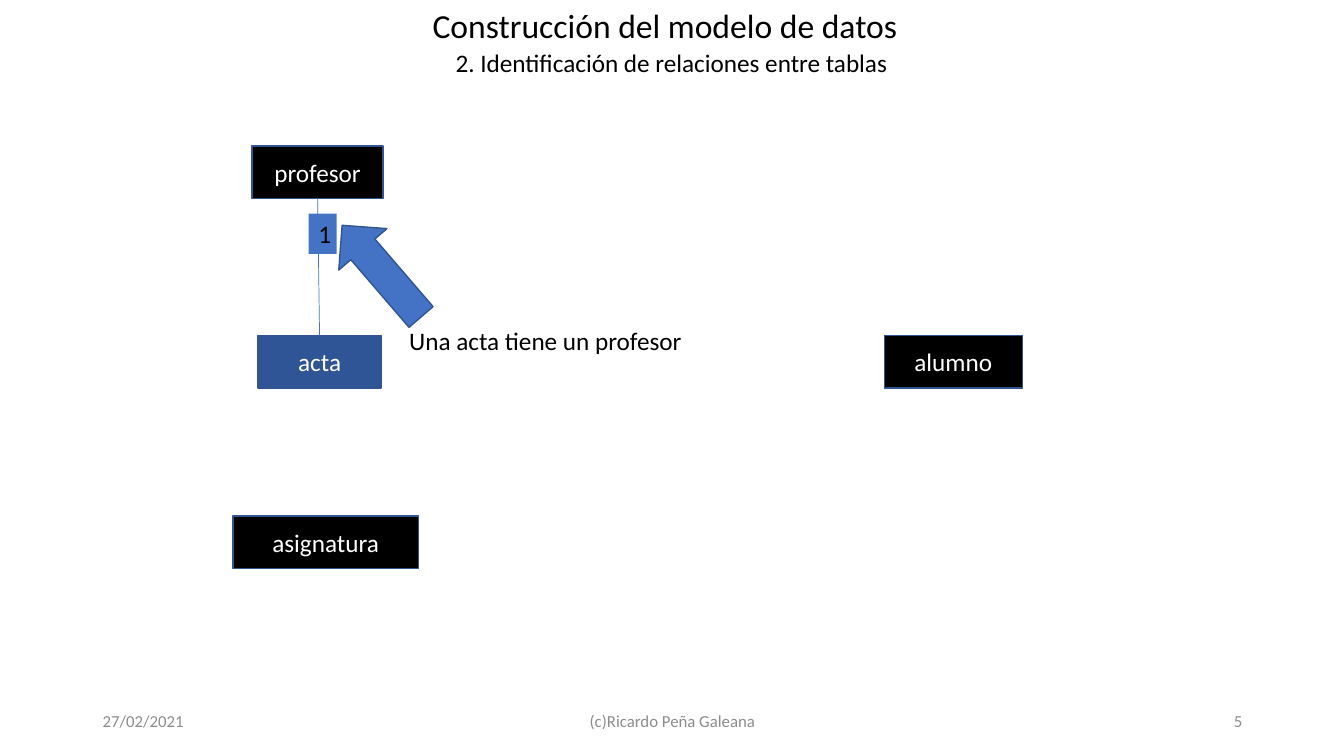
import pptx
import pptx.dml.color
import pptx.enum.shapes
import pptx.enum.text
import pptx.util
import lxml.etree

RGBColor = pptx.dml.color.RGBColor
MSO_SHAPE = pptx.enum.shapes.MSO_SHAPE
ANCHOR = pptx.enum.text.MSO_ANCHOR
ALIGN = pptx.enum.text.PP_ALIGN

BLACK = RGBColor(0x00, 0x00, 0x00)
WHITE = RGBColor(0xFF, 0xFF, 0xFF)
GREY = RGBColor(0x8C, 0x8C, 0x8C)
BLUE = RGBColor(0x44, 0x72, 0xC4)
DARK_BLUE = RGBColor(0x2F, 0x55, 0x97)
OUTLINE = RGBColor(0x32, 0x54, 0x91)

FONT = "Calibri"
PX = 9144  # EMU: 100 px to the inch

# Content: places are left, top, width, height in px
TITLE = ("Construcción del modelo de datos", (419, 0, 495, 50))
ENTITY_HEIGHT = 52
ENTITIES = [  # name, left, top, width, fill
    ("acta", 256, 333, 122, DARK_BLUE),
    ("asignatura", 231, 512, 184, BLACK),
    ("profesor", 250, 145, 130, BLACK),
    ("alumno", 877, 333, 137, BLACK),
]
RELATION = ("profesor", "acta")
CARDINALITY = ("1", (306, 212, 28, 40))
CAPTIONS = [
    ("2. Identificación de relaciones entre tablas", (442, 42, 465, 40)),
    ("Una acta tiene un profesor", (396, 318, 321, 40)),
]
POINTER = ((347, 209, 63, 120), 319.3)
FOOTER_TOP, FOOTER_HEIGHT = 695, 40
FOOTERS = [  # text, left, width, alignment
    ("27/02/2021", 92, 300, ALIGN.LEFT),
    ("(c)Ricardo Peña Galeana", 442, 450, ALIGN.CENTER),
    ("5", 942, 300, ALIGN.RIGHT),
]


def emu(place):
    return [length * PX for length in place]


def write(shape, text, size, color, align=ALIGN.LEFT, anchor=ANCHOR.TOP):
    frame = shape.text_frame
    frame.text = text
    frame.word_wrap = True
    frame.auto_size = pptx.enum.text.MSO_AUTO_SIZE.NONE
    frame.vertical_anchor = anchor
    paragraph = frame.paragraphs[0]
    paragraph.alignment = align
    paragraph.font.name = FONT
    paragraph.font.size = pptx.util.Pt(size)
    paragraph.font.color.rgb = color


def add_block(kind, place, fill, outline=None):
    block = slide.shapes.add_shape(kind, *emu(place))
    block.shadow.inherit = False
    block.fill.solid()
    block.fill.fore_color.rgb = fill
    if outline is None:
        block.line.fill.background()
    else:
        block.line.color.rgb = outline
        block.line.width = pptx.util.Pt(1)
    return block


def add_text(text, place, size, color, **layout):
    write(slide.shapes.add_textbox(*emu(place)), text, size, color, **layout)


presentation = pptx.Presentation()
presentation.slide_width, presentation.slide_height = emu((1333, 750))
slide = presentation.slides.add_slide(presentation.slide_layouts[5])

# Title
heading, heading_place = TITLE
title = slide.shapes.title
title.left, title.top, title.width, title.height = emu(heading_place)
write(title, heading, 24, BLACK)

# Entities
entities = {}
for name, left, top, width, fill in ENTITIES:
    place = (left, top, width, ENTITY_HEIGHT)
    entities[name] = add_block(MSO_SHAPE.RECTANGLE, place, fill, OUTLINE)
    write(entities[name], name, 18, WHITE, ALIGN.CENTER, ANCHOR.MIDDLE)

# Relation, from the bottom of one entity to the top of the other
relation = slide.shapes.add_connector(
    pptx.enum.shapes.MSO_CONNECTOR.STRAIGHT, 0, 0, 0, 0)
upper, lower = RELATION
relation.begin_connect(entities[upper], 2)
relation.end_connect(entities[lower], 0)
relation.line.color.rgb = BLUE
relation.line.width = pptx.util.Pt(0.5)
lxml.etree.SubElement(relation._element.spPr, pptx.oxml.ns.qn("a:effectLst"))

# Cardinality
count, count_place = CARDINALITY
cardinality = add_block(MSO_SHAPE.RECTANGLE, count_place, BLUE)
write(cardinality, count, 18, BLACK)

# Subtitle and explanation
for text, place in CAPTIONS:
    add_text(text, place, 18, BLACK)

# Arrow pointing at the cardinality
pointer_place, pointer_angle = POINTER
pointer = add_block(MSO_SHAPE.UP_ARROW, pointer_place, BLUE, OUTLINE)
pointer.rotation = pointer_angle

# Footer
for text, left, width, align in FOOTERS:
    add_text(text, (left, FOOTER_TOP, width, FOOTER_HEIGHT), 12, GREY,
             align=align, anchor=ANCHOR.MIDDLE)

presentation.save("out.pptx")
